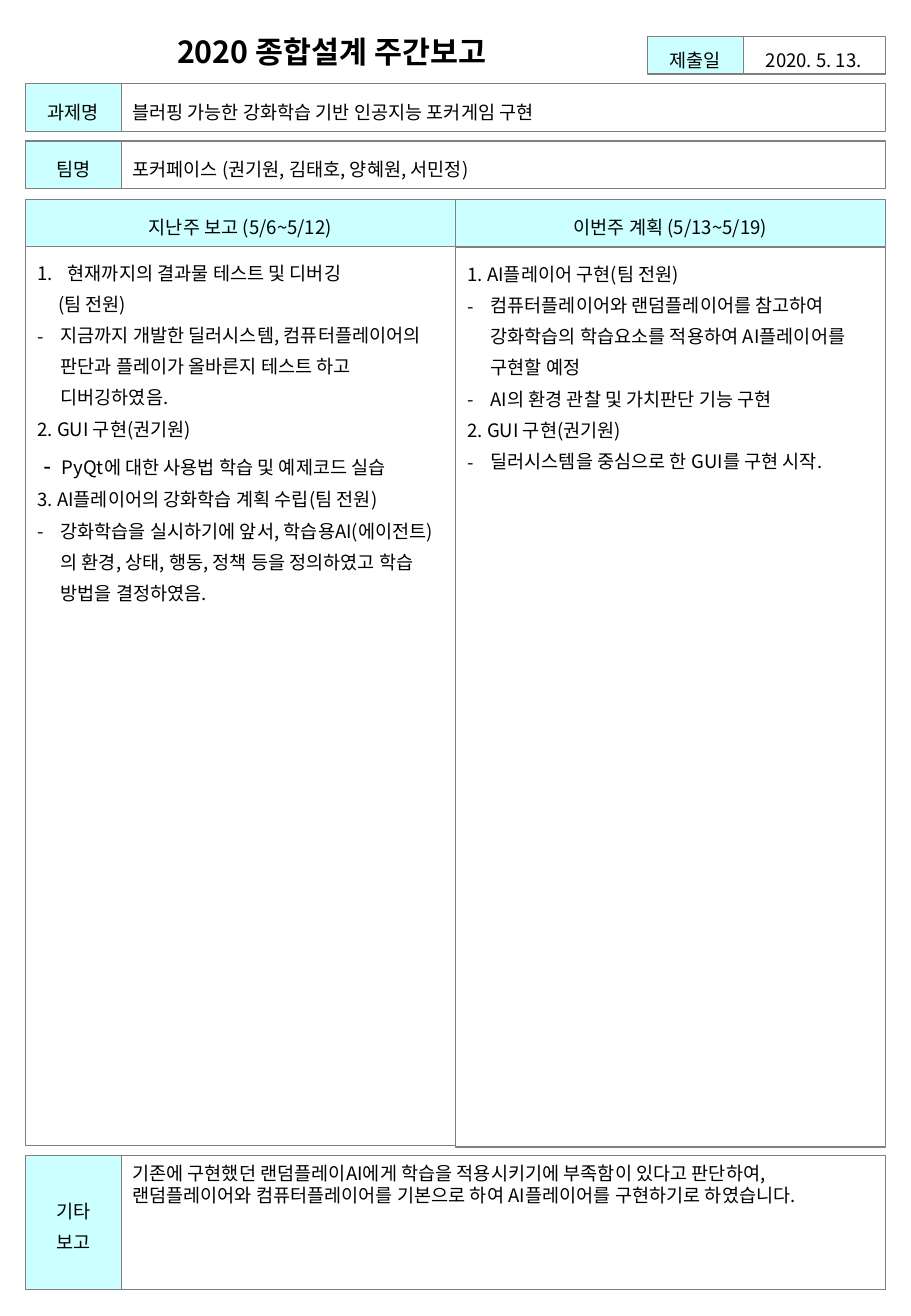
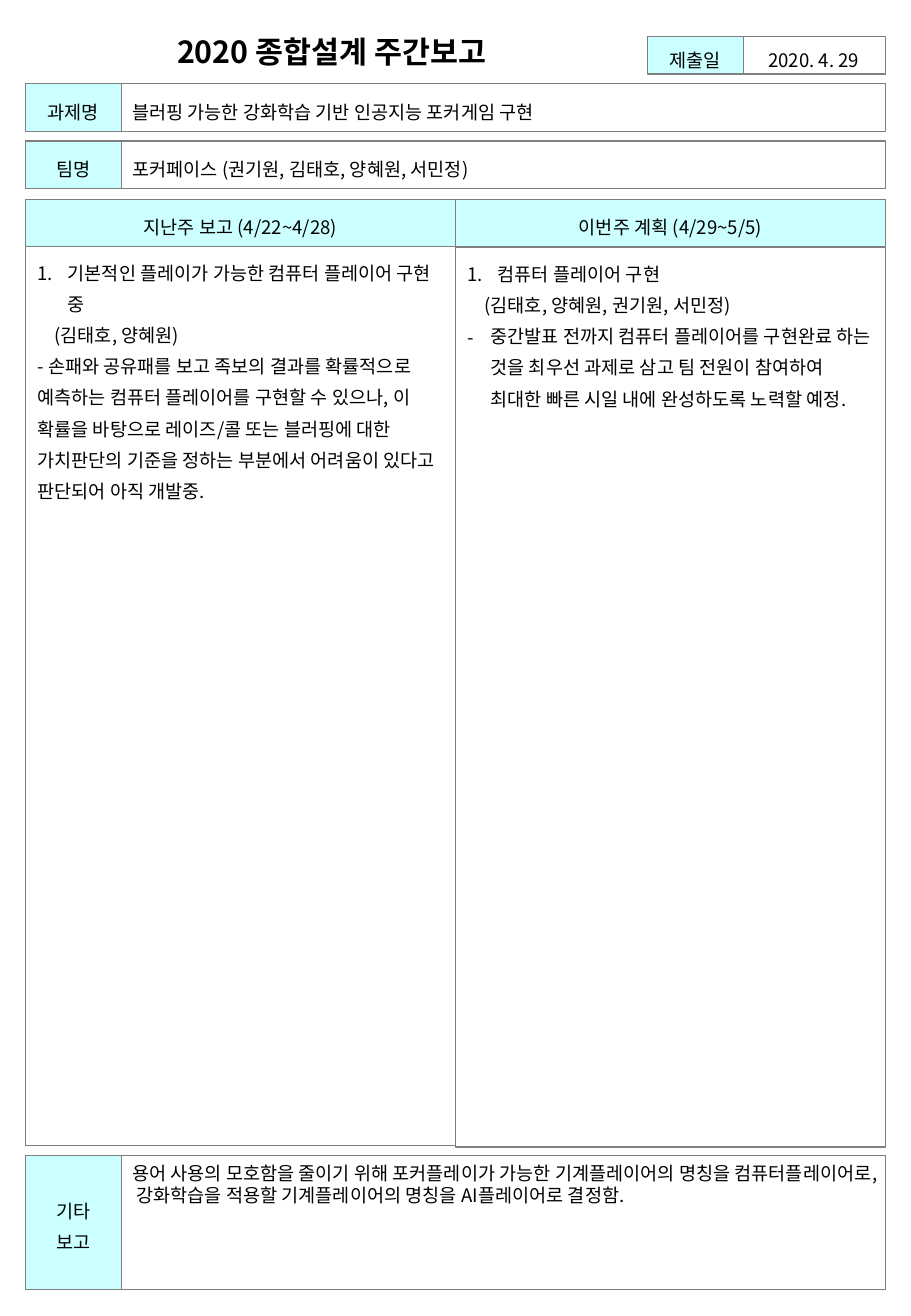
"""Build two weekly report forms for a capstone design team."""
from lxml import etree
from pptx import Presentation
from pptx.dml.color import RGBColor
from pptx.enum.shapes import MSO_SHAPE
from pptx.enum.text import MSO_ANCHOR, MSO_AUTO_SIZE, PP_ALIGN
from pptx.oxml.ns import qn
from pptx.util import Inches, Pt

RECT = MSO_SHAPE.RECTANGLE
TOP, MIDDLE = MSO_ANCHOR.TOP, MSO_ANCHOR.MIDDLE
LEFT, CENTER = PP_ALIGN.LEFT, PP_ALIGN.CENTER
GROW = MSO_AUTO_SIZE.SHAPE_TO_FIT_TEXT
NONE = MSO_AUTO_SIZE.NONE

BLACK = RGBColor(0x00, 0x00, 0x00)
WHITE = RGBColor(0xFF, 0xFF, 0xFF)
GRAY = RGBColor(0x7F, 0x7F, 0x7F)
CYAN = RGBColor(0xCC, 0xFF, 0xFF)
FONT = "Noto Sans CJK KR"
DASH_FONT = "Arial"

MARGIN, LABEL_W, ROW_H, COLUMN_W = 0.21, 0.79, 0.39, 3.54
VALUE_X, VALUE_W = 0.99, 6.3
BODY_H, REMARK_Y, REMARK_H = 7.4, 9.51, 1.1

INDENTS = {
    "plain": (0, 0),
    "number": (0.25, -0.25),
    "dash": (0.19, -0.19),
    "big dash": (0.2, -0.15),
    "under number": (0.17, 0),
    "names": (0.14, 0),
}


def add_run(paragraph, text, size=11, bold=False, font=FONT):
    run = paragraph.add_run()
    run.text = text
    run.font.size, run.font.bold, run.font.name = Pt(size), bold, font
    run.font.color.rgb = BLACK
    etree.SubElement(run.font._element, qn("a:ea"), typeface=FONT)


def add_box(slide, x, y, w, h, items=(), *, fill=None, framed=True, align=LEFT,
            anchor=MIDDLE, spacing=1.4, size=11, bold=False, autosize=NONE):
    area = Inches(x), Inches(y), Inches(w), Inches(h)
    if framed:
        box = slide.shapes.add_shape(RECT, *area)
        box.shadow.inherit = False
        box.line.color.rgb = GRAY
        box.line.width = Pt(0.75)
        if fill is None:
            box.fill.background()
        else:
            box.fill.solid()
            box.fill.fore_color.rgb = fill
    else:
        box = slide.shapes.add_textbox(*area)
    frame = box.text_frame
    frame.word_wrap, frame.auto_size, frame.vertical_anchor = True, autosize, anchor
    for index, (kind, text) in enumerate(items):
        paragraph = frame.add_paragraph() if index else frame.paragraphs[0]
        paragraph.alignment = align
        if spacing:
            paragraph.line_spacing = spacing
        props = paragraph._p.get_or_add_pPr()
        left, first = INDENTS[kind]
        props.set("marL", str(Inches(left)))
        props.set("indent", str(Inches(first)))
        if kind in ("number", "dash"):
            color = etree.SubElement(props, qn("a:buClr"))
            etree.SubElement(color, qn("a:srgbClr"), val=str(BLACK))
            etree.SubElement(props, qn("a:buFont"), typeface=FONT)
        if kind == "number":
            etree.SubElement(props, qn("a:buAutoNum"), type="arabicPeriod")
        elif kind == "dash":
            etree.SubElement(props, qn("a:buChar"), char="-")
        elif kind == "big dash":
            add_run(paragraph, "-\t", size=14, font=DASH_FONT)
        add_run(paragraph, text, size, bold)


REPORTS = [
    {
        "date": "2020. 5. 13.",
        "columns": [
            ("지난주 보고 (5/6~5/12)", [
                ("number", "현재까지의 결과물 테스트 및 디버깅"),
                ("under number", "(팀 전원)"),
                ("dash", "지금까지 개발한 딜러시스템, 컴퓨터플레이어의 판단과 플레이가 "
                         "올바른지 테스트 하고 디버깅하였음."),
                ("plain", "2. GUI 구현(권기원)"),
                ("big dash", "PyQt에 대한 사용법 학습 및 예제코드 실습"),
                ("plain", "3. AI플레이어의 강화학습 계획 수립(팀 전원)"),
                ("dash", "강화학습을 실시하기에 앞서, 학습용AI(에이전트)의 환경, 상태, "
                         "행동, 정책 등을 정의하였고 학습 방법을 결정하였음."),
            ]),
            ("이번주 계획 (5/13~5/19)", [
                ("plain", "1. AI플레이어 구현(팀 전원)"),
                ("dash", "컴퓨터플레이어와 랜덤플레이어를 참고하여 강화학습의 학습요소를 "
                         "적용하여 AI플레이어를 구현할 예정"),
                ("dash", "AI의 환경 관찰 및 가치판단 기능 구현"),
                ("plain", "2. GUI 구현(권기원)"),
                ("dash", "딜러시스템을 중심으로 한 GUI를 구현 시작."),
            ]),
        ],
        "remark": "기존에 구현했던 랜덤플레이AI에게 학습을 적용시키기에 부족함이 있다고 "
                  "판단하여, 랜덤플레이어와 컴퓨터플레이어를 기본으로 하여 AI플레이어를 "
                  "구현하기로 하였습니다.",
    },
    {
        "date": "2020. 4. 29",
        "columns": [
            ("지난주 보고 (4/22~4/28)", [
                ("number", "기본적인 플레이가 가능한 컴퓨터 플레이어 구현 중"),
                ("names", "(김태호, 양혜원)"),
                ("plain", "- 손패와 공유패를 보고 족보의 결과를 확률적으로 예측하는 컴퓨터 "
                          "플레이어를 구현할 수 있으나, 이 확률을 바탕으로 레이즈/콜 또는 "
                          "블러핑에 대한 가치판단의 기준을 정하는 부분에서 어려움이 있다고 "
                          "판단되어 아직 개발중."),
            ]),
            ("이번주 계획 (4/29~5/5)", [
                ("number", "컴퓨터 플레이어 구현"),
                ("names", "(김태호, 양혜원, 권기원, 서민정)"),
                ("dash", "중간발표 전까지 컴퓨터 플레이어를 구현완료 하는 것을 최우선 과제로 "
                         "삼고 팀 전원이 참여하여 최대한 빠른 시일 내에 완성하도록 노력할 "
                         "예정."),
            ]),
        ],
        "remark": "용어 사용의 모호함을 줄이기 위해 포커플레이가 가능한 기계플레이어의 "
                  "명칭을 컴퓨터플레이어로, 강화학습을 적용할 기계플레이어의 명칭을 "
                  "AI플레이어로 결정함.",
    },
]
PROJECT_ROWS = [
    (0.69, "과제명", "블러핑 가능한 강화학습 기반 인공지능 포커게임 구현"),
    (1.16, "팀명", "포커페이스 (권기원, 김태호, 양혜원, 서민정)"),
]

prs = Presentation()
prs.slide_width, prs.slide_height = Inches(7.5), Inches(10.83)

for report in REPORTS:
    slide = prs.slides.add_slide(prs.slide_layouts[6])
    add_box(slide, MARGIN, 0.22, 5.04, ROW_H, [("plain", "2020 종합설계 주간보고")],
            framed=False, align=CENTER, anchor=TOP, spacing=None, size=18, bold=True)
    add_box(slide, 6.11, 0.3, 1.18, 0.31, [("plain", report["date"])], align=CENTER)
    add_box(slide, 5.33, 0.3, LABEL_W, 0.31, [("plain", "제출일")],
            fill=CYAN, align=CENTER)

    for y, label, value in PROJECT_ROWS:
        add_box(slide, VALUE_X, y, VALUE_W, ROW_H, [("plain", value)])
        add_box(slide, MARGIN, y, LABEL_W, ROW_H, [("plain", label)],
                fill=CYAN, align=CENTER)

    for column, (heading, items) in enumerate(report["columns"]):
        x = MARGIN + column * COLUMN_W
        add_box(slide, x, 1.64, COLUMN_W, ROW_H, [("plain", heading)],
                fill=CYAN, align=CENTER)
        add_box(slide, x, 2.03 + column * 0.01, COLUMN_W, BODY_H, items,
                fill=WHITE, anchor=TOP)

    add_box(slide, VALUE_X, REMARK_Y, VALUE_W, REMARK_H)
    add_box(slide, MARGIN, REMARK_Y, LABEL_W, REMARK_H,
            [("plain", "기타"), ("plain", "보고")], fill=CYAN, align=CENTER)
    add_box(slide, VALUE_X, REMARK_Y, VALUE_W, 0.47, [("plain", report["remark"])],
            framed=False, anchor=TOP, spacing=None, autosize=GROW)

prs.save("out.pptx")
